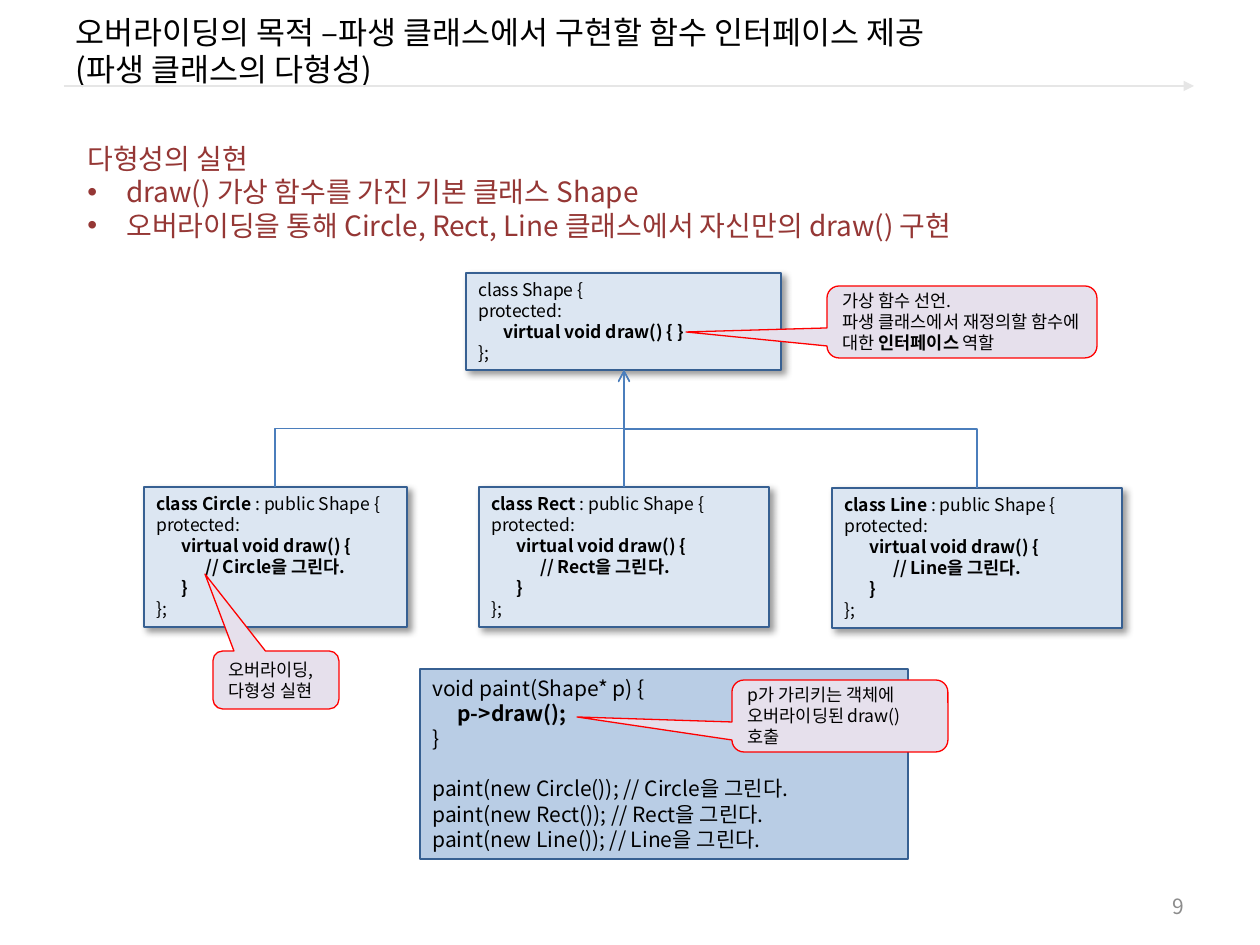
from dataclasses import dataclass

from lxml import etree
from pptx import Presentation
from pptx import util as u
from pptx.dml.color import RGBColor
from pptx.enum import shapes, text
from pptx.oxml import ns

PX = u.Inches(1) / 126


@dataclass(frozen=True)
class Theme:
    """Font, colours and type sizes of the slide."""
    font: str = "Noto Sans CJK KR"
    ink: str = "000000"
    accent: str = "953735"
    muted: str = "8C8C8C"
    rule: str = "E6E6E6"
    code_fill: str = "DCE6F2"
    paint_fill: str = "B9CDE5"
    code_line: str = "376092"
    note_fill: str = "E6E0EC"
    note_line: str = "FF0000"
    arrow: str = "4B7EBC"
    title: int = 18
    lead: int = 16
    body: int = 12
    small: int = 10


T = Theme()


def px(*values):
    """Turn px lengths into EMU."""
    return [u.Emu(round(v * PX)) for v in values]


def sub(parent, tag, **attrs):
    """Append a child element with its attributes."""
    el = etree.SubElement(parent, ns.qn(tag))
    for key, value in attrs.items():
        el.set(key, str(value))
    return el


def set_attrs(obj, **formats):
    """Set each format value on an object."""
    for key, value in formats.items():
        setattr(obj, key, value)


def write(tf, lines, size, color=T.ink, tabs=(), bullets=(), gaps=(), **formats):
    """Write lines into a frame, with ** around bold parts and \\v for breaks."""
    set_attrs(tf, **{"word_wrap": True, "auto_size": text.MSO_AUTO_SIZE.NONE,
                     "vertical_anchor": text.MSO_ANCHOR.TOP} | formats)
    for i, line in enumerate(lines):
        p = tf.paragraphs[0] if i == 0 else tf.add_paragraph()
        pr = p._p.get_or_add_pPr()
        if i in bullets:
            pr.set("marL", str(px(39)[0]))
            pr.set("indent", str(px(-39)[0]))
            sub(pr, "a:buFont", typeface="Arial")
            sub(pr, "a:buChar", char="•")
        if tabs:
            stops = sub(pr, "a:tabLst")
            for pos in px(*tabs):
                sub(stops, "a:tab", pos=pos, algn="l")
        set_attrs(p, alignment=text.PP_ALIGN.LEFT,
                  space_before=u.Pt(size * 1.2 if i in gaps else 0))
        for j, part in enumerate(line.split("**")):
            for k, piece in enumerate(part.split("\v")):
                if k:
                    p.add_line_break()
                if piece:
                    r = p.add_run()
                    r.text = piece
                    set_attrs(r.font, name=T.font, size=u.Pt(size), bold=j % 2 == 1)
                    r.font.color.rgb = RGBColor.from_string(color)
                    sub(r._r.get_or_add_rPr(), "a:ea", typeface=T.font)


def add_panel(s, kind, box, fill, line):
    """Add a filled and outlined shape without shadow."""
    sp = s.shapes.add_shape(kind, *px(*box))
    sp.shadow.inherit = False
    sp.fill.solid()
    sp.fill.fore_color.rgb = RGBColor.from_string(fill)
    sp.line.color.rgb = RGBColor.from_string(line)
    sp.line.width = u.Pt(0.75)
    return sp


def add_code(s, box, lines, fill=T.code_fill, size=T.small, shadow=True, gaps=()):
    """Add a code box with tab stops for its indents."""
    sp = add_panel(s, shapes.MSO_SHAPE.RECTANGLE, box, fill, T.code_line)
    if shadow:
        effects = sp._element.spPr.find(ns.qn("a:effectLst"))
        outer = sub(effects, "a:outerShdw", blurRad=u.Pt(4), dist=u.Pt(3),
                    dir=45 * 60000, algn="tl", rotWithShape=0)
        sub(sub(outer, "a:srgbClr", val="000000"), "a:alpha", val=40000)
    write(sp.text_frame, lines, size, tabs=(25, 49), gaps=gaps)


def add_derived(s, box, name):
    """Add the code box of a class derived from Shape."""
    add_code(s, box, [f"**class {name} **: public Shape {{", "protected:",
                      "\t**virtual void draw() {**", f"**\t\t// {name}을 그린다.**",
                      "**\t}**", "};"])


def add_note(s, box, tip, lines):
    """Add a callout whose tip points at a px position."""
    x, y, w, h = box
    sp = add_panel(s, shapes.MSO_SHAPE.ROUNDED_RECTANGULAR_CALLOUT, box,
                   T.note_fill, T.note_line)
    sp.adjustments[0] = (tip[0] - x) / w - 0.5
    sp.adjustments[1] = (tip[1] - y) / h - 0.5
    sp.adjustments[2] = 0.167
    write(sp.text_frame, lines, T.small, vertical_anchor=text.MSO_ANCHOR.MIDDLE)


def add_line(s, kind, ends, color, width, head):
    """Add a connector with an arrowhead at its end."""
    c = s.shapes.add_connector(kind, *px(*ends))
    c.line.color.rgb = RGBColor.from_string(color)
    c.line.width = u.Pt(width)
    sub(c.line._get_or_add_ln(), "a:tailEnd", type=head)
    sub(c._element.spPr, "a:effectLst")
    return c


def add_inherit(s, start, end):
    """Add an elbow arrow that leaves upwards and arrives upwards."""
    rise, run = start[1] - end[1], end[0] - start[0]
    cx, cy = (start[0] + end[0]) / 2, (start[1] + end[1]) / 2
    c = add_line(s, shapes.MSO_CONNECTOR.ELBOW,
                 (cx - rise / 2, cy - run / 2, cx + rise / 2, cy + run / 2),
                 T.arrow, 0.75, "arrow")
    c._element.spPr.find(ns.qn("a:xfrm")).set("rot", str(270 * 60000))


def add_header(s, box):
    """Place the title and the rule under it."""
    x, y, w, h = box
    add_line(s, shapes.MSO_CONNECTOR.STRAIGHT, (x + 1, y + 76, x + w - 3, y + 76),
             T.rule, 1.5, "triangle")
    title = s.shapes.title
    set_attrs(title, **dict(zip(("left", "top", "width", "height"), px(x, y, w, h))))
    write(title.text_frame,
          ["오버라이딩의 목적 –파생 클래스에서 구현할 함수 인터페이스 제공\v(파생 클래스의 다형성)"],
          T.title, vertical_anchor=text.MSO_ANCHOR.MIDDLE)


def add_lead(s, box):
    """Place the heading and bullets above the diagram."""
    tf = s.shapes.add_textbox(*px(*box)).text_frame
    write(tf, ["다형성의 실현", "draw() 가상 함수를 가진 기본 클래스 Shape",
               "오버라이딩을 통해 Circle, Rect, Line 클래스에서 자신만의 draw() 구현"],
          T.lead, T.accent, bullets=(1, 2), word_wrap=False)


def add_classes(s, box):
    """Place the class tree with its arrows."""
    x, y, w, h = box
    add_code(s, (x + 322, y, 315, 97),
             ["class Shape {", "protected:", "\t**virtual void draw() { }**", "};"])
    for name, left, top, width in (("Circle", 0, 214, 263), ("Rect", 335, 214, 290),
                                   ("Line", 688, 215, 290)):
        add_derived(s, (x + left, y + top, width, 140), name)
        add_inherit(s, (x + left + width // 2, y + top), (x + 480, y + 97))


def add_paint(s, box):
    """Place the paint function and its calls."""
    calls = [f"paint(new {n}()); // {n}을 그린다." for n in ("Circle", "Rect", "Line")]
    add_code(s, box, ["void paint(Shape* p) {", "\t**p->draw();**", "}", *calls],
             T.paint_fill, T.body, shadow=False, gaps=(3,))


def add_notes(s, x, y):
    """Place the callouts over the diagram."""
    add_note(s, (x + 588, y + 407, 216, 72), (x + 433, y + 444),
             ["p가 가리키는 객체에 오버라이딩된 draw() 호출"])
    add_note(s, (x + 69, y + 378, 126, 58), (x + 61, y + 301),
             ["오버라이딩,", "다형성 실현"])
    add_note(s, (x + 683, y + 13, 270, 72), (x + 542, y + 59),
             ["가상 함수 선언.", "파생 클래스에서 재정의할 함수에 대한 **인터페이스** 역할"])


def add_number(s, box):
    """Place the slide number."""
    tf = s.shapes.add_textbox(*px(*box)).text_frame
    write(tf, ["9"], T.body, T.muted, vertical_anchor=text.MSO_ANCHOR.MIDDLE)
    tf.paragraphs[0].alignment = text.PP_ALIGN.RIGHT


def main():
    """Build the slide and save it."""
    prs = Presentation()
    prs.slide_width, prs.slide_height = px(1260, 945)
    s = prs.slides.add_slide(prs.slide_layouts[5])
    add_header(s, (63, 10, 1134, 81))
    add_number(s, (903, 886, 294, 40))
    add_classes(s, (144, 273, 978, 355))
    add_paint(s, (420, 669, 488, 190))
    add_notes(s, 144, 273)
    add_lead(s, (75, 135, 951, 115))
    prs.save("out.pptx")


if __name__ == "__main__":
    main()
